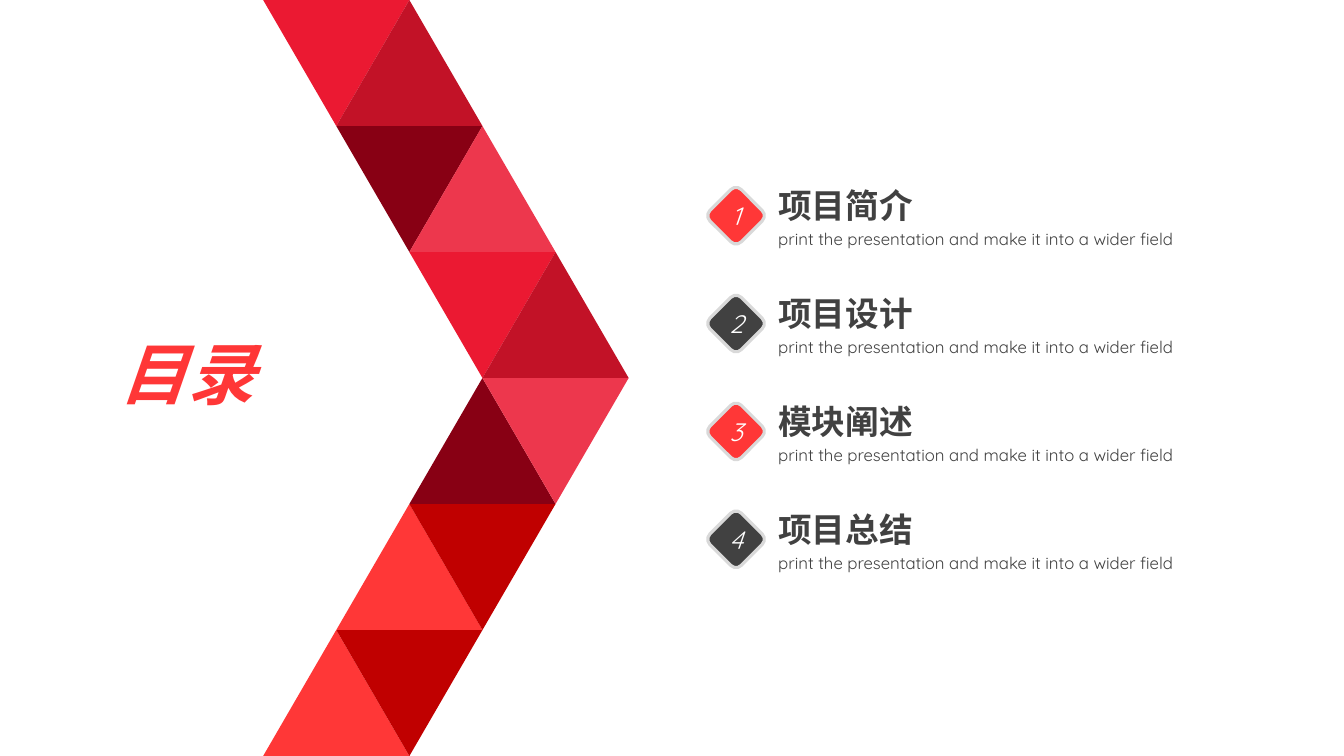
import pptx
import pptx.dml.color
import pptx.enum.shapes
import pptx.enum.text
import pptx.oxml.ns
import pptx.util
from lxml import etree

Inches = pptx.util.Inches
Pt = pptx.util.Pt
SHAPE = pptx.enum.shapes.MSO_SHAPE
ALIGN = pptx.enum.text.PP_ALIGN

RED, DARK, WHITE, GRAY = "FF3737", "414141", "FFFFFF", "D9D9D9"
LATIN, HAN = "Quicksand", "Noto Sans CJK SC"
SIDE, RISE = 1.45, 1.25
PITCH = 1.07
NOTE = "print the presentation and make it into a wider field"
ITEMS = ["项目简介", "项目设计", "模块阐述", "项目总结"]
# Left and right triangle of each row, from top to bottom
ROWS = [
    ("EB1932", "C21227"),
    ("880014", "ED374D"),
    ("EB1932", "C21227"),
    ("880014", "ED374D"),
    (RED, "C00000"),
    (RED, "C00000"),
]


def color(code):
    return pptx.dml.color.RGBColor.from_string(code)


def place(shape, x, y, w, h):
    shape.left, shape.top = Inches(x), Inches(y)
    shape.width, shape.height = Inches(w), Inches(h)


def write(shape, text, size, tint, font=LATIN, bold=False, italic=False,
          align=ALIGN.LEFT, space=None, wrap=True):
    """Put one formatted run into the shape's text frame."""
    frame = shape.text_frame
    frame.word_wrap = wrap
    frame.auto_size = pptx.enum.text.MSO_AUTO_SIZE.SHAPE_TO_FIT_TEXT
    frame.vertical_anchor = pptx.enum.text.MSO_ANCHOR.TOP
    para = frame.paragraphs[0]
    para.alignment = align
    if space:
        para.line_spacing = space
    run = para.add_run()
    run.text = text
    run.font.name = font
    run.font.size = Pt(size)
    run.font.bold = bold
    run.font.italic = italic
    run.font.color.rgb = color(tint)
    # Chinese glyphs take their font from a:ea
    east = etree.SubElement(run.font._element, pptx.oxml.ns.qn("a:ea"))
    east.set("typeface", font)


def label(group, x, y, w, h, text, size, tint, **style):
    box = group.shapes.add_textbox(Inches(x), Inches(y), Inches(w), Inches(h))
    write(box, text, size, tint, **style)


def solid(group, kind, x, y, w, h, tint, turn=0):
    shape = group.shapes.add_shape(
        kind, Inches(x), Inches(y), Inches(w), Inches(h))
    shape.shadow.inherit = False
    shape.fill.solid()
    shape.fill.fore_color.rgb = color(tint)
    shape.line.fill.background()
    shape.rotation = turn
    return shape


def arrow(slide):
    """Draw the large chevron made of triangle pairs."""
    group = slide.shapes.add_group_shape()
    last = len(ROWS) - 1
    for row, pair in enumerate(ROWS):
        shift = min(row, last - row)
        upper = row <= last / 2
        for col, tint in enumerate(pair):
            down = upper == (col == 0)
            solid(group, SHAPE.ISOSCELES_TRIANGLE,
                  2.61 + (shift + col) * SIDE / 2, row * RISE,
                  SIDE, RISE, tint, 180 if down else 0)


def entry(slide, index, name):
    group = slide.shapes.add_group_shape()
    top = 1.79 + index * PITCH
    label(group, 7.62, top, 3.8, 0.53, name, 24, DARK, font=HAN, bold=True)
    label(group, 7.62, top + 0.39, 5.32, 0.32, NOTE, 12, DARK, space=1.2)
    badge = solid(group, SHAPE.ROUNDED_RECTANGLE, 7.08, top + 0.13,
                  0.44, 0.44, DARK if index % 2 else RED, 45)
    badge.line.color.rgb = color(GRAY)
    badge.line.width = Pt(2.25)
    label(group, 7.13, top + 0.15, 0.34, 0.4, str(index + 1), 18, WHITE,
          italic=True, align=ALIGN.CENTER, wrap=False)


def main():
    deck = pptx.Presentation()
    deck.slide_width, deck.slide_height = Inches(13.33), Inches(7.5)
    slide = deck.slides.add_slide(deck.slide_layouts[5])
    title = slide.shapes.title
    place(title, 1.09, 3.25, 4.12, 0.96)
    write(title, "目录", 48, RED, bold=True, italic=True)
    arrow(slide)
    for index, name in enumerate(ITEMS):
        entry(slide, index, name)
    deck.save("out.pptx")


if __name__ == "__main__":
    main()
